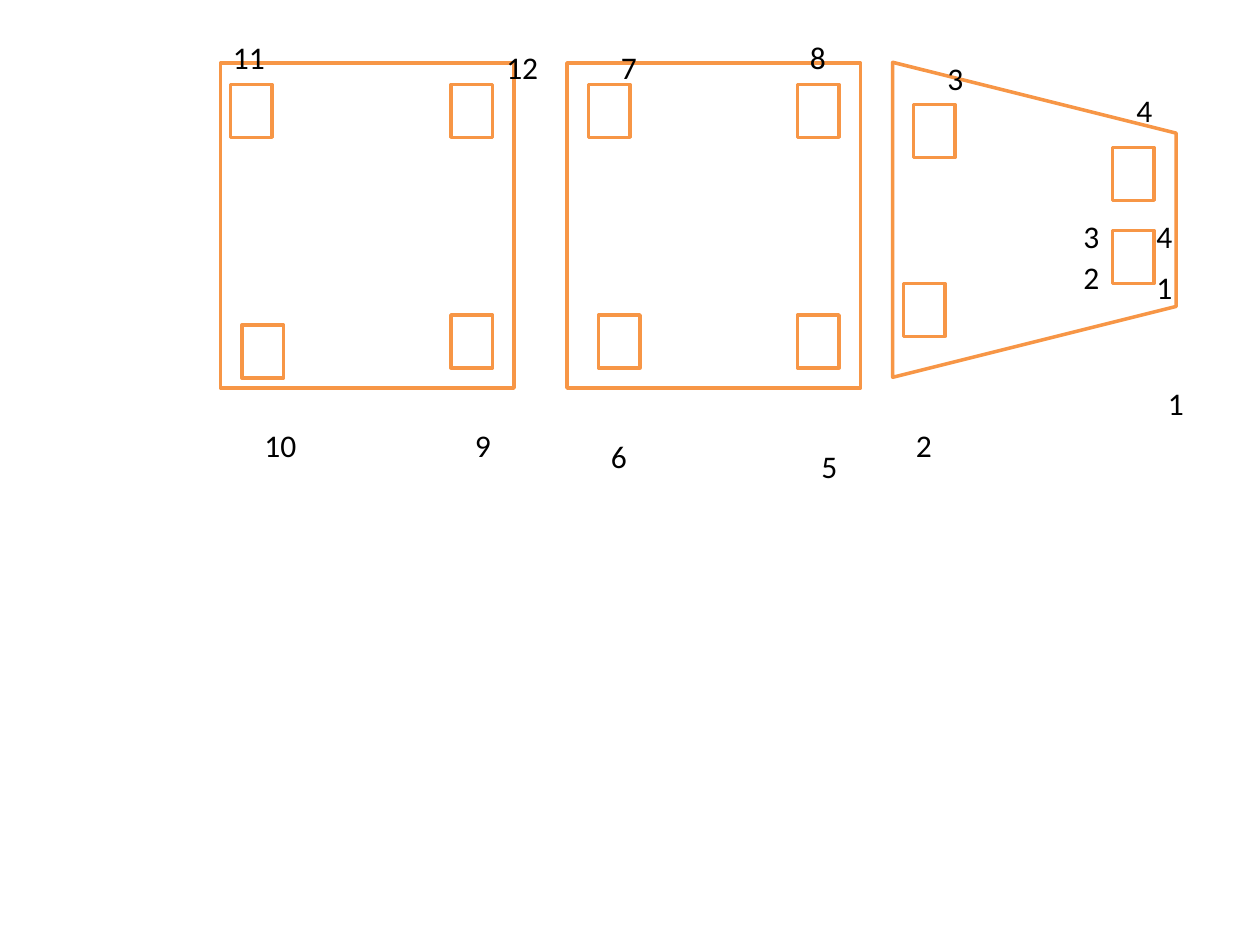
from dataclasses import dataclass

from pptx import Presentation
from pptx.dml.color import RGBColor
from pptx.enum.shapes import MSO_SHAPE
from pptx.enum.text import MSO_AUTO_SIZE
from pptx.slide import Slide
from pptx.util import Inches, Pt

RECTANGLE = MSO_SHAPE.RECTANGLE
TRAPEZOID = MSO_SHAPE.TRAPEZOID
GROW_TO_TEXT = MSO_AUTO_SIZE.SHAPE_TO_FIT_TEXT
BLANK_LAYOUT = 6


@dataclass(frozen=True)
class Theme:
    fill: RGBColor = RGBColor(0xFF, 0xFF, 0xFF)
    outline: RGBColor = RGBColor(0xF7, 0x96, 0x46)
    text: RGBColor = RGBColor(0, 0, 0)
    font: str = "Calibri"
    text_size: int = 18
    outline_width: int = 2


@dataclass(frozen=True)
class Outline:
    left: float
    top: float
    width: float
    height: float
    preset: MSO_SHAPE = RECTANGLE
    rotation: float = 0


@dataclass(frozen=True)
class Label:
    text: str
    left: float
    top: float


THEME = Theme()

PANELS = [
    Outline(6.96, 0.62, 2.5, 2.25, TRAPEZOID, 90),
    Outline(4.5, 0.5, 2.33, 2.58),
    Outline(1.75, 0.5, 2.33, 2.58),
]

PAD_WIDTH, PAD_HEIGHT = 0.33, 0.42
PAD_CORNERS = [
    (7.25, 0.83), (8.83, 1.83), (8.83, 1.17), (7.17, 2.25),
    (6.33, 0.67), (6.33, 2.5), (4.75, 2.5), (4.67, 0.67),
    (3.58, 0.67), (3.58, 2.5), (1.92, 2.58), (1.83, 0.67),
]

LABEL_WIDTHS = {1: 0.33, 2: 0.46}  # by number of digits
LABEL_HEIGHT = 0.4
PANEL_LABELS = [
    Label("1", 9.17, 3), Label("2", 7.17, 3.33),
    Label("3", 7.42, 0.42), Label("4", 8.92, 0.67),
    Label("5", 6.42, 3.5), Label("6", 4.75, 3.42),
    Label("7", 4.83, 0.33), Label("8", 6.33, 0.25),
    Label("9", 3.67, 3.33), Label("10", 2, 3.33),
    Label("11", 1.75, 0.25), Label("12", 3.92, 0.33),
]
PAD_LABELS = [
    Label("1", 9.08, 2.08), Label("2", 8.5, 2),
    Label("3", 8.5, 1.67), Label("4", 9.08, 1.67),
]


def draw_outline(page: Slide, outline: Outline) -> None:
    shape = page.shapes.add_shape(
        outline.preset, Inches(outline.left), Inches(outline.top),
        Inches(outline.width), Inches(outline.height))
    shape.rotation = outline.rotation
    shape.shadow.inherit = False
    shape.fill.solid()
    shape.fill.fore_color.rgb = THEME.fill
    shape.line.color.rgb = THEME.outline
    shape.line.width = Pt(THEME.outline_width)


def draw_label(page: Slide, label: Label) -> None:
    box = page.shapes.add_textbox(
        Inches(label.left), Inches(label.top),
        Inches(LABEL_WIDTHS[len(label.text)]), Inches(LABEL_HEIGHT))
    frame = box.text_frame
    frame.word_wrap = False
    frame.auto_size = GROW_TO_TEXT
    frame.text = label.text
    font = frame.paragraphs[0].runs[0].font
    font.name = THEME.font
    font.size = Pt(THEME.text_size)
    font.color.rgb = THEME.text


def main() -> None:
    deck = Presentation()
    deck.slide_width, deck.slide_height = Inches(10), Inches(7.5)
    page = deck.slides.add_slide(deck.slide_layouts[BLANK_LAYOUT])
    pads = [Outline(left, top, PAD_WIDTH, PAD_HEIGHT) for left, top in PAD_CORNERS]
    for outline in PANELS + pads:
        draw_outline(page, outline)
    for label in PANEL_LABELS + PAD_LABELS:
        draw_label(page, label)
    deck.save("out.pptx")


if __name__ == "__main__":
    main()
